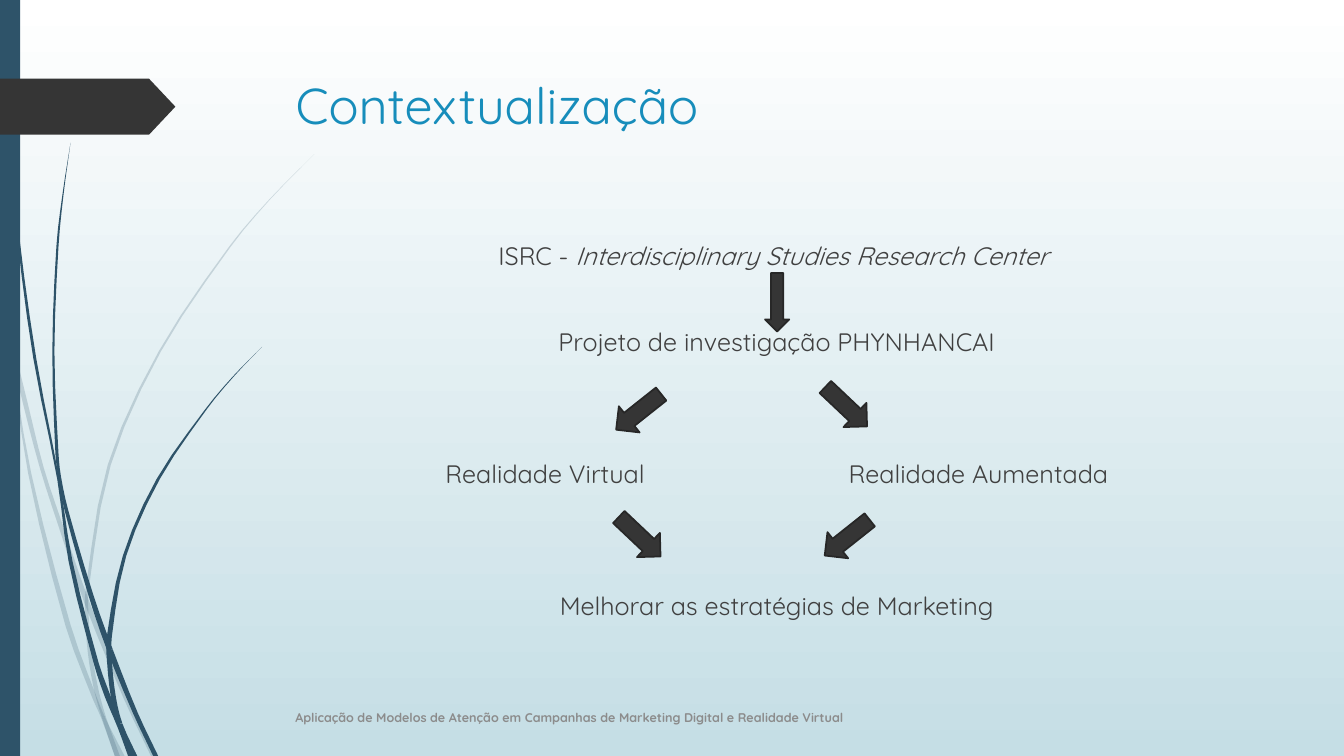
import pptx
import pptx.dml.color
import pptx.enum.shapes
import pptx.enum.text
import pptx.oxml.ns
import pptx.util
from lxml import etree

Pt = pptx.util.Pt
Shape = pptx.enum.shapes.MSO_SHAPE
Align = pptx.enum.text.PP_ALIGN
Anchor = pptx.enum.text.MSO_ANCHOR

# Content
FONT = "Quicksand"
BLUE, DARK, EDGE, TEXT = "2E5369", "353535", "272727", "404040"
TITLE = "Contextualização"
FOOTER = "Aplicação de Modelos de Atenção em Campanhas de Marketing Digital e Realidade Virtual"

# Diagram lines: space before, runs as (text, italic)
LINES = [
    (0, [("ISRC - ", False), ("Interdisciplinary Studies Research Center ", True)]),
    (40.4, [("Projeto de investigação PHYNHANCAI", False)]),
    (72.5, [("Realidade Virtual \tRealidade Aumentada", False)]),
    (72.5, [("Melhorar as estratégias de Marketing", False)]),
]
TAB_STOP = 288

# Diagonal arrows: left, top, rotation
TO_LEFT, TO_RIGHT = 231.6, 133.4
DIAGONAL_ARROWS = [
    (444.3, 273.7, TO_LEFT),
    (592.5, 270, TO_RIGHT),
    (593.3, 363.6, TO_LEFT),
    (445, 362.9, TO_RIGHT),
]

# Grass stems: knots where a new blade starts, then y, left edge, right edge
PALE_STEMS = [
    ([1, 5],
     [(203, 0, 0), (248, 7.2, 10.1), (291, 17.1, 20.5), (334, 28.4, 31.2),
      (375, 41.5, 44.8), (431, 60.4, 64.2), (499, 88.4, 91.7), (540, 107.8, 111.5)]),
    ([4],
     [(252, 7.9, 7.9), (338, 20.1, 22.3), (447, 46.8, 50.6), (499, 66.2, 69.5),
      (513, 72.4, 75.3), (540, 82, 89)]),
    ([5, 6, 9],
     [(110, 224.6, 224.6), (142, 192.8, 193.4), (176, 163.8, 165), (251, 113.4, 115),
      (332, 77, 79.2), (421, 61.2, 63.4), (439, 60.9, 63.3), (465, 62.6, 65.5),
      (492, 67, 70.2), (512, 72.6, 75.6), (540, 82, 85.6)]),
]
DARK_STEMS = [
    ([4, 8],
     [(0, 2.2, 2.9), (79, 5, 5.8), (168, 12.2, 13.7), (256, 23.8, 25.9),
      (343, 41, 42.5), (401, 49, 51.8), (474, 67, 70.6), (498, 75, 79.3),
      (520, 84.2, 87), (540, 91.5, 98)]),
    ([5, 8],
     [(102, 50.4, 50.4), (139, 44.6, 45.4), (176, 40.3, 41.8), (251, 37.4, 38.9),
      (324, 39.6, 41.8), (340, 41.5, 43.5), (364, 46, 48.6), (426, 63.4, 67),
      (464, 76.3, 80.6), (509, 94.8, 98.3), (540, 109.4, 113)]),
    ([5, 6, 8],
     [(247.7, 187.2, 187.2), (269, 166.3, 167), (292, 146.9, 148), (342, 112, 114.3),
      (397, 87.8, 90.2), (455, 76.3, 79.9), (473, 76.5, 80), (498, 79.2, 82.8),
      (517, 83.5, 87.5), (540, 93, 98)]),
]
STEPS = 3


def color(value):
    return pptx.dml.color.RGBColor.from_string(value)


def paint(shape, fill, line=None, alpha=None):
    shape.shadow.inherit = False
    shape.fill.solid()
    shape.fill.fore_color.rgb = color(fill)
    if alpha is not None:
        tint = shape._element.spPr.find(".//" + pptx.oxml.ns.qn("a:srgbClr"))
        etree.SubElement(tint, pptx.oxml.ns.qn("a:alpha"), val=str(alpha * 1000))
    if line:
        shape.line.color.rgb = color(line)
        shape.line.width = Pt(1.25)
    else:
        shape.line.fill.background()


def add_block(kind, left, top, width, height, fill, line=None):
    block = page.shapes.add_shape(kind, Pt(left), Pt(top), Pt(width), Pt(height))
    paint(block, fill, line)
    return block


def add_run(para, text, size, ink, bold=False, italic=False):
    span = para.add_run()
    span.text = text
    span.font.name, span.font.size = FONT, Pt(size)
    span.font.color.rgb = color(ink)
    span.font.bold, span.font.italic = bold, italic


def add_text_box(left, top, width, height, anchor):
    box = page.shapes.add_textbox(Pt(left), Pt(top), Pt(width), Pt(height))
    frame = box.text_frame
    frame.word_wrap = True
    frame.vertical_anchor = anchor
    return frame


def smooth_edge(knots):
    """Points of a smooth curve through (y, x) knots, STEPS to each gap."""
    last = len(knots) - 1
    slopes = []
    for i in range(last + 1):
        before, after = knots[max(i - 1, 0)], knots[min(i + 1, last)]
        slopes.append((after[1] - before[1]) / (after[0] - before[0]))
    points = []
    for i in range(last):
        (y0, x0), (y1, x1) = knots[i], knots[i + 1]
        gap = y1 - y0
        for step in range(STEPS):
            t = step / STEPS
            x = ((2 * t**3 - 3 * t**2 + 1) * x0 + (3 * t**2 - 2 * t**3) * x1
                 + gap * ((t**3 - 2 * t**2 + t) * slopes[i] + (t**3 - t**2) * slopes[i + 1]))
            points.append((Pt(x), Pt(y0 + t * gap)))
    points.append((Pt(knots[last][1]), Pt(knots[last][0])))
    return points


def add_stem(cuts, knots, alpha=None):
    left_edge = smooth_edge([(y, left) for y, left, right in knots])
    right_edge = smooth_edge([(y, right) for y, left, right in knots])
    bounds = [0] + cuts + [len(knots) - 1]
    for start, end in zip(bounds, bounds[1:]):
        blade = slice(start * STEPS, end * STEPS + 1)
        outline = left_edge[blade] + right_edge[blade][::-1]
        builder = page.shapes.build_freeform(*outline[0])
        builder.add_line_segments(outline[1:], close=True)
        paint(builder.convert_to_shape(), BLUE, alpha=alpha)


deck = pptx.Presentation()
deck.slide_width, deck.slide_height = Pt(960), Pt(540)
page = deck.slides.add_slide(deck.slide_layouts[5])

# Background, white at the top
backdrop = page.background.fill
backdrop.gradient()
backdrop.gradient_angle = 270
for stop, value in zip(backdrop.gradient_stops, ("FFFFFF", "C5DEE5")):
    stop.color.rgb = color(value)

# Grass, side bar and tag
for cuts, knots in PALE_STEMS:
    add_stem(cuts, knots, alpha=20)
for cuts, knots in DARK_STEMS:
    add_stem(cuts, knots)
add_block(Shape.RECTANGLE, 0, 0, 14.4, 540, BLUE)
tag = add_block(Shape.PENTAGON, 0, 56.2, 125.3, 40, DARK)
tag.adjustments[0] = 0.47

# Title
title = page.shapes.title
title.left, title.top, title.width, title.height = Pt(204), Pt(49), Pt(702), Pt(100.8)
title.text_frame.vertical_anchor = Anchor.TOP
title.text_frame.word_wrap = True
title.text_frame.paragraphs[0].alignment = Align.LEFT
add_run(title.text_frame.paragraphs[0], TITLE, 36, "178DBB")

# Diagram text
body = add_text_box(203.8, 167.8, 702, 297.4, Anchor.TOP)
for index, (space, runs) in enumerate(LINES):
    para = body.add_paragraph() if index else body.paragraphs[0]
    para.alignment = Align.CENTER
    para.space_before = Pt(space)
    for text, italic in runs:
        add_run(para, text, 18, TEXT, italic=italic)
    if "\t" in runs[0][0]:
        tabs = etree.SubElement(para._p.get_or_add_pPr(), pptx.oxml.ns.qn("a:tabLst"))
        etree.SubElement(tabs, pptx.oxml.ns.qn("a:tab"), pos=str(Pt(TAB_STOP)), algn="l")

# Footer
footer = add_text_box(203.8, 498, 600, 28.8, Anchor.MIDDLE)
add_run(footer.paragraphs[0], FOOTER, 9, "8C8C8C", bold=True)

# Arrows
add_block(Shape.DOWN_ARROW, 546.5, 195, 17.3, 41.8, DARK, EDGE)
for left, top, turn in DIAGONAL_ARROWS:
    arrow = add_block(Shape.UP_ARROW, left, top, 23.8, 41, DARK, EDGE)
    arrow.rotation = turn

deck.save("out.pptx")
